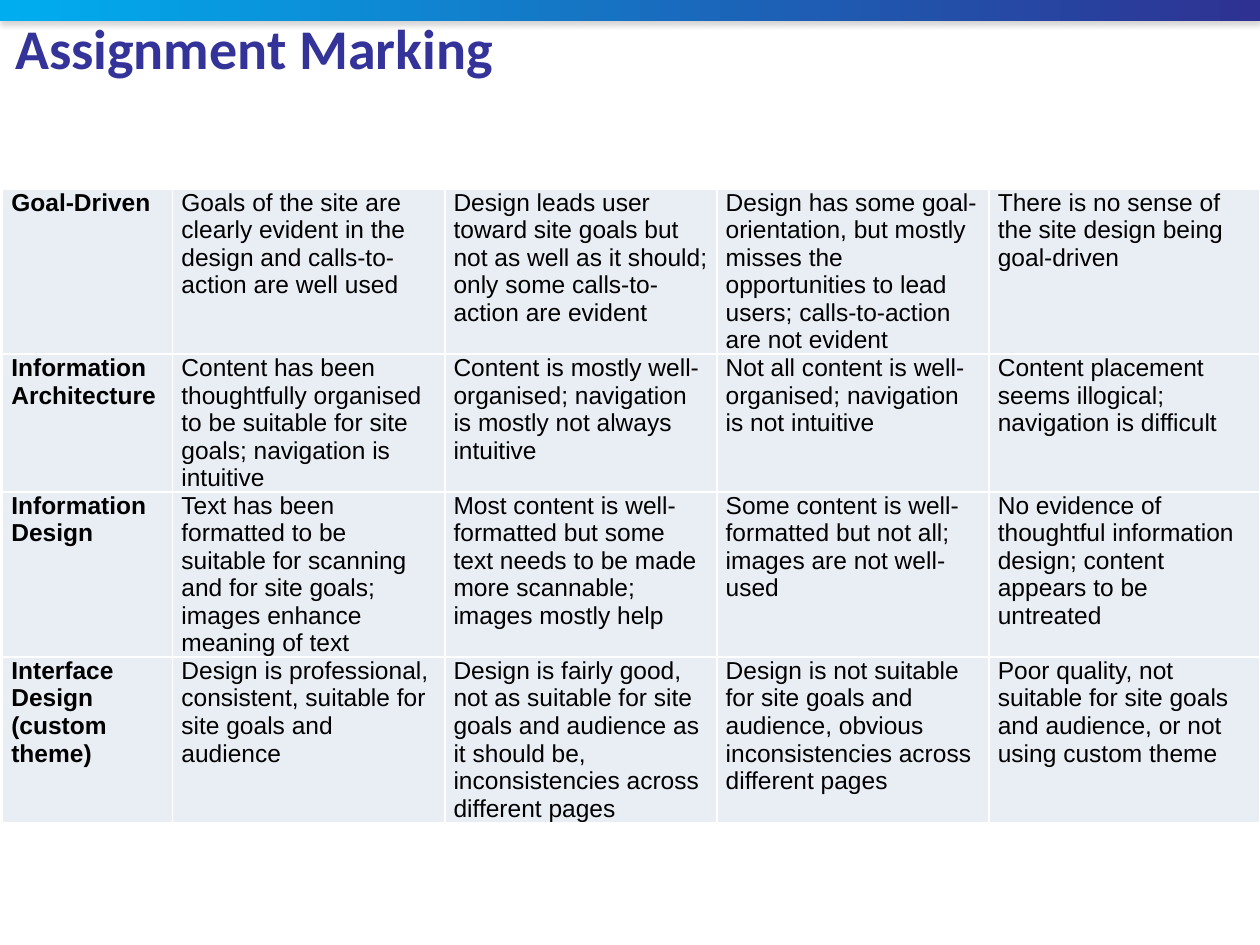
from dataclasses import dataclass

from lxml.etree import SubElement
from pptx import Presentation
from pptx.dml.color import RGBColor
from pptx.enum.shapes import MSO_SHAPE
from pptx.enum.text import MSO_ANCHOR, MSO_AUTO_SIZE, PP_ALIGN
from pptx.oxml import parse_xml
from pptx.oxml.ns import nsdecls, qn
from pptx.slide import Slide
from pptx.table import _Cell
from pptx.util import Inches, Pt


@dataclass(frozen=True)
class Criterion:
    """One marking criterion with its grade descriptions, best first."""
    name: str
    grades: tuple[str, ...]


CRITERIA = [
    Criterion("Goal-Driven", (
        "Goals of the site are clearly evident in the design and calls-to-action are well used",
        "Design leads user toward site goals but not as well as it should; "
        "only some calls-to-action are evident",
        "Design has some goal-orientation, but mostly misses the opportunities "
        "to lead users; calls-to-action are not evident",
        "There is no sense of the site design being goal-driven",
    )),
    Criterion("Information\nArchitecture", (
        "Content has been thoughtfully organised to be suitable for site goals; "
        "navigation is intuitive",
        "Content is mostly well-organised; navigation is mostly not always intuitive",
        "Not all content is well-organised; navigation is not intuitive",
        "Content placement seems illogical; navigation is difficult",
    )),
    Criterion("Information\nDesign", (
        "Text has been formatted to be suitable for scanning and for site goals; "
        "images enhance meaning of text",
        "Most content is well-formatted but some text needs to be made more scannable; "
        "images mostly help",
        "Some content is well-formatted but not all; images are not well-used",
        "No evidence of thoughtful information design; content appears to be untreated",
    )),
    Criterion("Interface\nDesign\v(custom theme)", (
        "Design is professional, consistent, suitable for site goals and audience",
        "Design is fairly good, not as suitable for site goals and audience as it should be, "
        "inconsistencies across different pages",
        "Design is not suitable for site goals and audience, "
        "obvious inconsistencies across different pages",
        "Poor quality, not suitable for site goals and audience, or not using custom theme",
    )),
]
COLUMN_WIDTHS = (1.35, 2.16, 2.16, 2.16, 2.15)
ROW_HEIGHTS = (1.28, 1.03, 1.28, 1.28)


def color(value: str) -> RGBColor:
    """Turn a hex string into a colour."""
    return RGBColor.from_string(value)


def add_banner(slide: Slide) -> None:
    """Draw the gradient strip along the top, behind everything else."""
    banner = slide.shapes.add_shape(MSO_SHAPE.RECTANGLE, 0, 0, Inches(10), Inches(0.17))
    banner.fill.gradient()
    banner.fill.gradient_angle = 0
    for stop, position, shade in zip(banner.fill.gradient_stops, (0, 1), ("00AEEF", "2E3192")):
        stop.position = position
        stop.color.rgb = color(shade)
    banner.line.fill.background()
    banner.element.spPr.append(parse_xml(
        f'<a:effectLst {nsdecls("a")}><a:outerShdw blurRad="{Pt(3.1)}" dist="{Pt(1.8)}" '
        'dir="5400000" rotWithShape="0"><a:srgbClr val="808080"><a:alpha val="35000"/>'
        '</a:srgbClr></a:outerShdw></a:effectLst>'))
    slide.shapes.element.insert(2, banner.element)


def add_title(slide: Slide, wording: str) -> None:
    """Place and format the slide title."""
    title = slide.shapes.title
    title.left, title.top = Inches(0.02), Inches(0.06)
    title.width, title.height = Inches(9.38), Inches(0.54)
    frame = title.text_frame
    frame.text = wording
    frame.auto_size = MSO_AUTO_SIZE.NONE
    frame.vertical_anchor = MSO_ANCHOR.TOP
    heading = frame.paragraphs[0]
    heading.alignment = PP_ALIGN.LEFT
    heading.font.name, heading.font.size, heading.font.bold = "Calibri", Pt(32), True
    heading.font.color.rgb = color("333399")


def add_borders(cell: _Cell, shade: str) -> None:
    """Give a cell a one-point border on every side."""
    properties = cell._tc.get_or_add_tcPr()
    for position, side in enumerate(("lnL", "lnR", "lnT", "lnB")):
        border = parse_xml(f'<a:{side} {nsdecls("a")} w="{Pt(1)}"/>')
        fill = SubElement(border, qn("a:solidFill"))
        SubElement(fill, qn("a:srgbClr"), val=shade)
        properties.insert(position, border)


def fill_cell(cell: _Cell, wording: str, bold: bool) -> None:
    """Write and format one table cell."""
    cell.text = wording
    cell.margin_left = cell.margin_right = Inches(0.07)
    cell.margin_top = cell.margin_bottom = 0
    cell.fill.solid()
    cell.fill.fore_color.rgb = color("E9EDF4")
    add_borders(cell, "FFFFFF")
    for paragraph in cell.text_frame.paragraphs:
        font = paragraph.font
        font.name, font.size, font.bold = "Arial", Pt(14), bold
        font.color.rgb = color("000000")


def add_rubric(slide: Slide, criteria: list[Criterion]) -> None:
    """Draw the marking table, one row per criterion."""
    rubric = slide.shapes.add_table(
        len(criteria), len(COLUMN_WIDTHS), Inches(0.02), Inches(1.5),
        Inches(sum(COLUMN_WIDTHS)), Inches(sum(ROW_HEIGHTS))).table
    rubric.first_row = rubric.horz_banding = False
    for column, width in zip(rubric.columns, COLUMN_WIDTHS):
        column.width = Inches(width)
    for row, height, criterion in zip(rubric.rows, ROW_HEIGHTS, criteria):
        row.height = Inches(height)
        for index, wording in enumerate((criterion.name, *criterion.grades)):
            fill_cell(row.cells[index], wording, bold=index == 0)


def main() -> None:
    """Build and save the slide."""
    presentation = Presentation()
    presentation.slide_width, presentation.slide_height = Inches(10), Inches(7.5)
    slide = presentation.slides.add_slide(presentation.slide_layouts[5])
    add_banner(slide)
    add_title(slide, "Assignment Marking")
    add_rubric(slide, CRITERIA)
    presentation.save("out.pptx")


if __name__ == "__main__":
    main()
